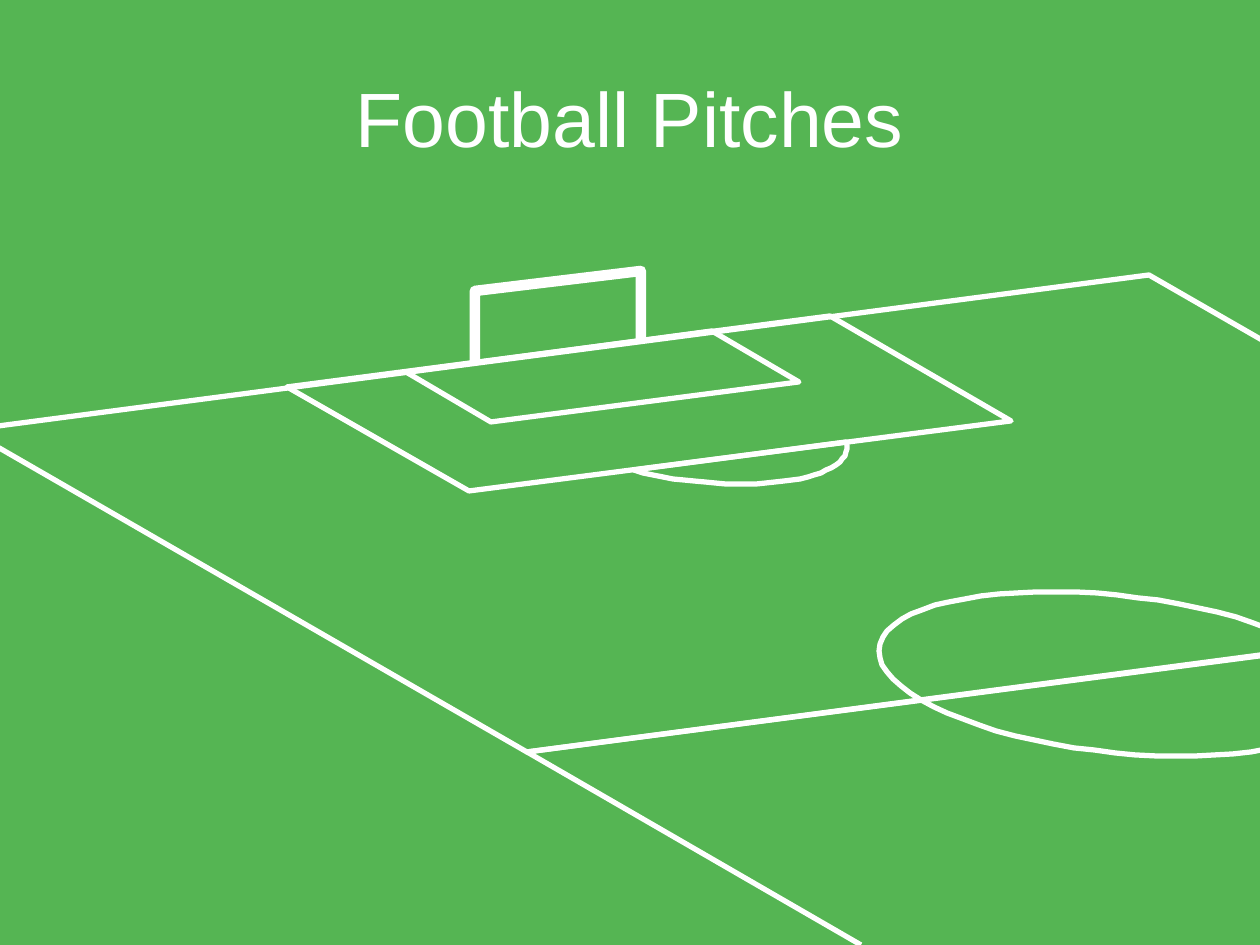
from dataclasses import dataclass
from math import cos, radians, sin

from pptx import Presentation
from pptx import util as u
from pptx.dml import color
from pptx.enum import text

PX = 914400 / 126
WIDTH, HEIGHT = 1260, 945
COLORS = {"grass": "55B553", "chalk": "FFFFFF"}
ACROSS = (195, -26)
ALONG = (135, 78)

Point = tuple[int, int]


@dataclass(frozen=True)
class Marking:
    points: list[Point]
    closed: bool = True
    weight: int = 3


def emu(px: float) -> int:
    return round(px * PX)


def rgb(name: str) -> color.RGBColor:
    return color.RGBColor.from_string(COLORS[name])


def arc(center: Point, radius: float, start: float, end: float, steps: int) -> list[Point]:
    angles = [radians(start + (end - start) * i / steps) for i in range(steps + 1)]
    return [
        (
            round(center[0] + radius * (ACROSS[0] * sin(t) + ALONG[0] * cos(t))),
            round(center[1] + radius * (ACROSS[1] * sin(t) + ALONG[1] * cos(t))),
        )
        for t in angles
    ]


def draw_marking(slide, marking: Marking) -> None:
    first, *rest = marking.points
    builder = slide.shapes.build_freeform(*first, scale=PX)
    builder.add_line_segments(rest, close=marking.closed)
    outline = builder.convert_to_shape()
    outline.shadow.inherit = False
    outline.fill.background()
    outline.line.color.rgb = rgb("chalk")
    outline.line.width = u.Pt(marking.weight)


def draw_title(slide, wording: str) -> None:
    title = slide.shapes.add_textbox(emu(63), emu(38), emu(1134), emu(157))
    frame = title.text_frame
    frame.text = wording
    frame.word_wrap = True
    frame.vertical_anchor = text.MSO_ANCHOR.MIDDLE
    heading = frame.paragraphs[0]
    heading.alignment = text.PP_ALIGN.CENTER
    font = heading.runs[0].font
    font.name = "Arial"
    font.size = u.Pt(44)
    font.color.rgb = rgb("chalk")


FAR_HALF = Marking([(1149, 275), (-32, 430), (527, 752), (1709, 597)])
NEAR_HALF = Marking([(1268, 654), (527, 752), (861, 945)], closed=False)
CENTER_CIRCLE = Marking(arc((1116, 674), 1, 0, 355, 71))
PENALTY_ARC = Marking(arc((700, 433), 0.62, -61.5, 61.5, 30))
PENALTY_AREA = Marking([(830, 316), (287, 387), (469, 491), (1011, 421)])
GOAL_AREA = Marking([(491, 422), (406, 372), (712, 331), (799, 382)])
GOAL = Marking([(475, 362), (475, 291), (641, 271), (641, 340)], closed=False, weight=6)


def main() -> None:
    deck = Presentation()
    deck.slide_width, deck.slide_height = emu(WIDTH), emu(HEIGHT)
    slide = deck.slides.add_slide(deck.slide_layouts[6])
    grass = slide.background.fill
    grass.solid()
    grass.fore_color.rgb = rgb("grass")
    for marking in (
        FAR_HALF, NEAR_HALF, CENTER_CIRCLE, PENALTY_ARC, PENALTY_AREA, GOAL_AREA, GOAL,
    ):
        draw_marking(slide, marking)
    draw_title(slide, "Football Pitches")
    deck.save("out.pptx")


if __name__ == "__main__":
    main()
